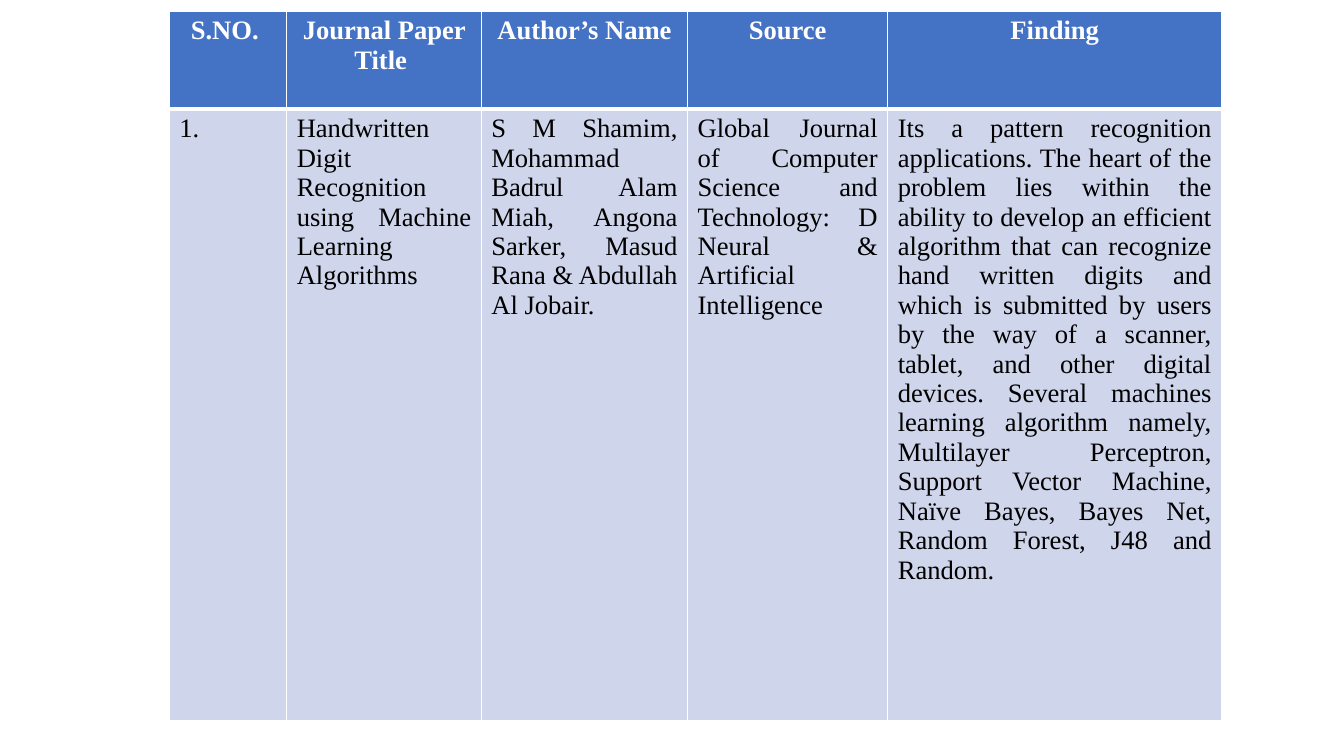
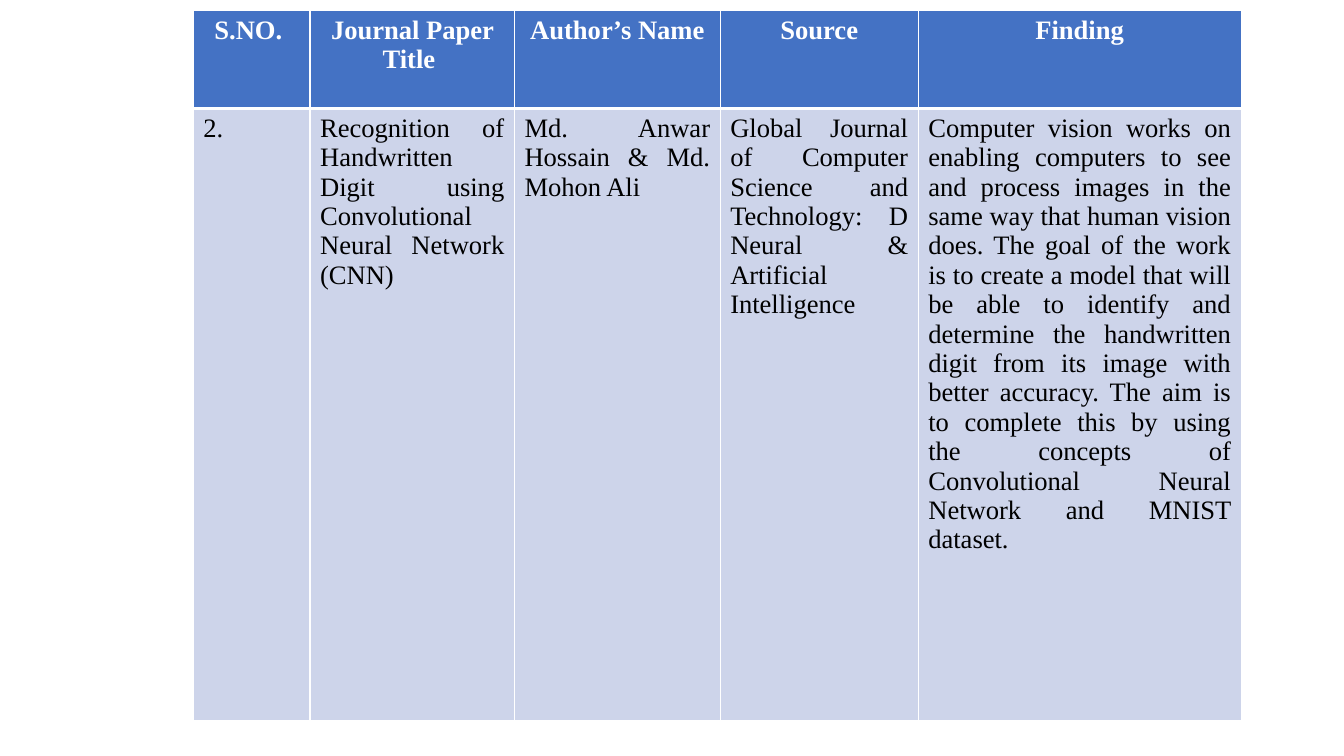
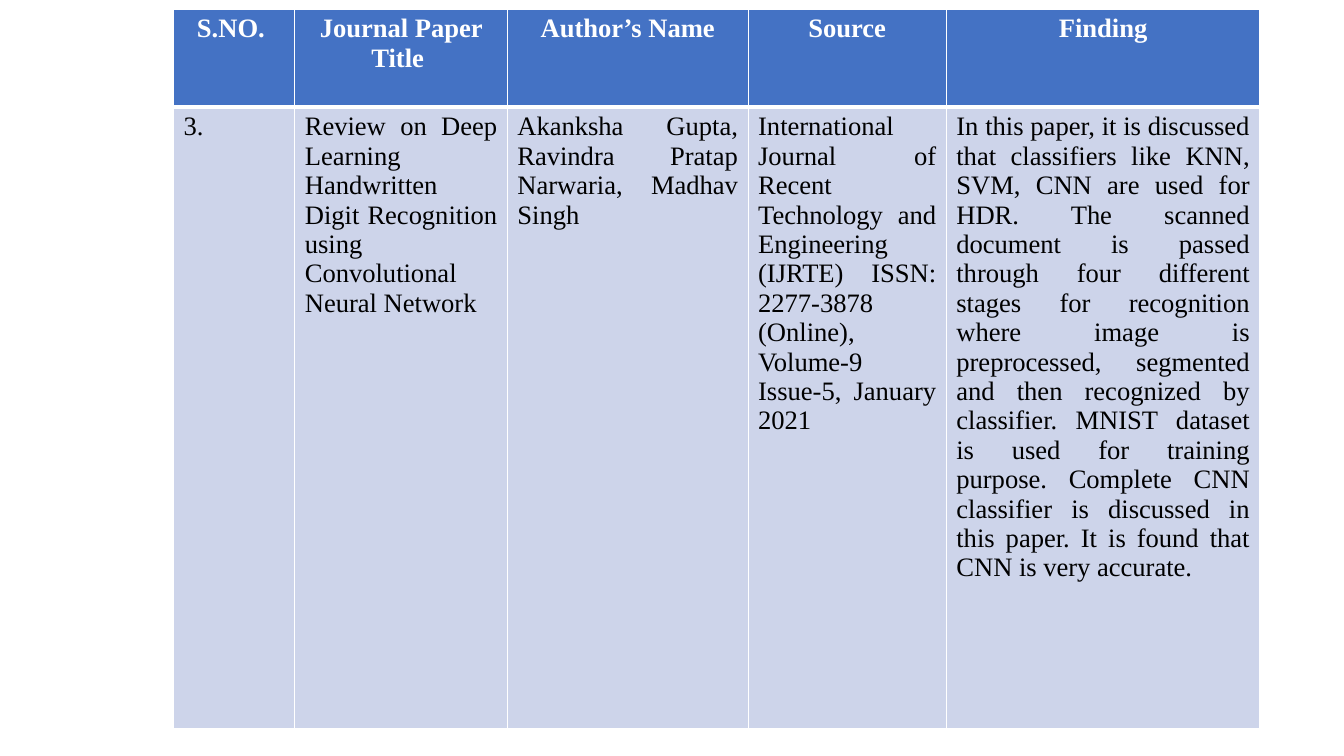
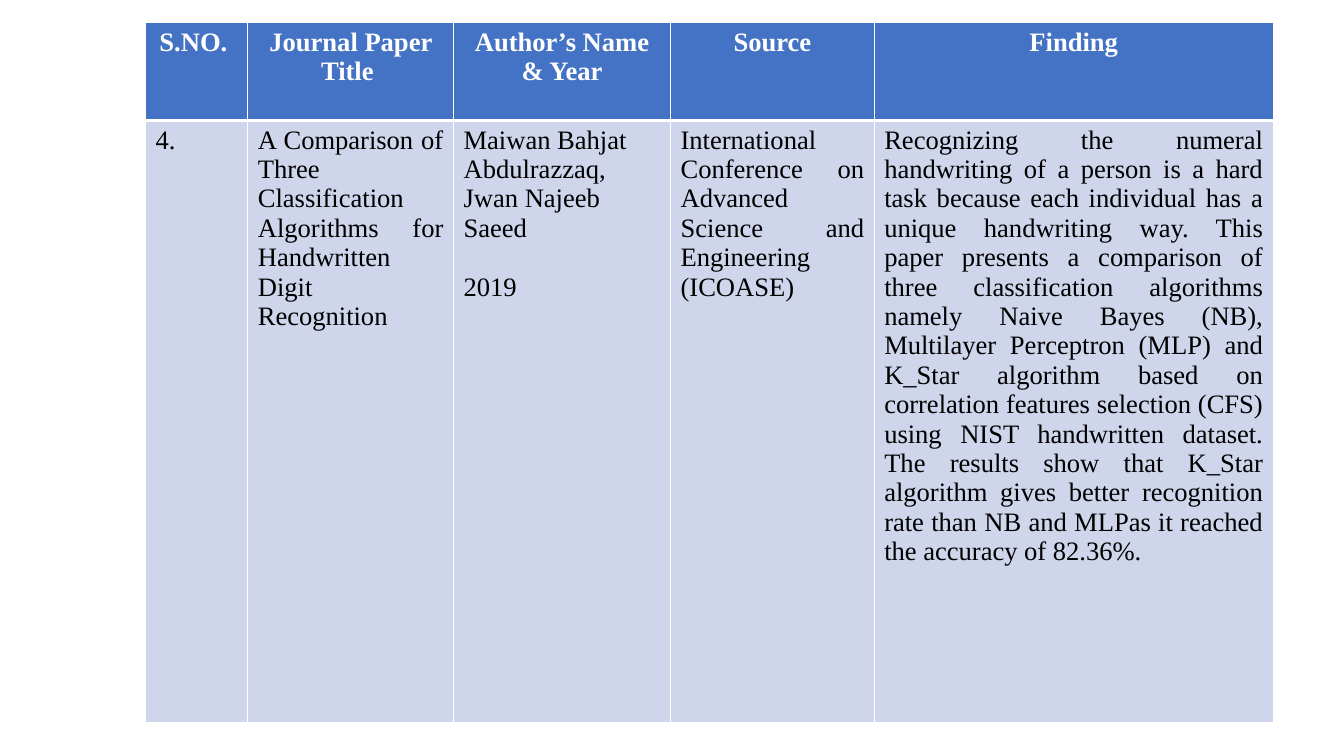
import pptx
import pptx.dml.color
import pptx.enum.text
import pptx.oxml
import pptx.oxml.ns
import pptx.util

Pt = pptx.util.Pt
ALIGN = pptx.enum.text.PP_ALIGN

# Shared style
COLORS = {
    "header": "4472C4",
    "body": "CFD5EA",
    "body_light": "CDD4EA",
    "border": "FFFFFF",
    "header_text": "FFFFFF",
    "body_text": "000000",
}
FONT = "Times New Roman"
FONT_SIZE = 19
LINE_HEIGHT = 21
HEADER_HEIGHT = 70
THIN, THICK = 1, 3
HEADINGS = ["S.NO. ", "Journal Paper Title ", "Author’s Name", "Source", "Finding"]
HEADINGS_WITH_YEAR = HEADINGS[:2] + ["Author’s Name & Year"] + HEADINGS[3:]

# One paper per slide
PAPERS = [
    {
        "left": 121, "top": 8, "body_height": 437, "fill": "body",
        "columns": [83.8, 139, 147.4, 143, 238.5],
        "headings": HEADINGS,
        "entries": [
            "1.",
            "Handwritten Digit Recognition using Machine Learning Algorithms",
            "S M Shamim, Mohammad Badrul Alam Miah, Angona Sarker, Masud Rana "
            "& Abdullah Al Jobair.",
            "Global Journal of Computer Science and Technology: D Neural & "
            "Artificial Intelligence",
            "Its a pattern recognition applications. The heart of the problem lies "
            "within the ability to develop an efficient algorithm that can recognize "
            "hand written digits and which is submitted by users by the way of a "
            "scanner, tablet, and other digital devices. Several machines learning "
            "algorithm namely, Multilayer Perceptron, Support Vector Machine, Naïve "
            "Bayes, Bayes Net, Random Forest, J48 and Random.",
        ],
    },
    {
        "left": 138, "top": 7.5, "body_height": 437, "fill": "body_light",
        "columns": [83.5, 146, 147, 141.5, 230.6],
        "headings": HEADINGS,
        "entries": [
            "2.",
            "Recognition of Handwritten Digit using Convolutional Neural Network (CNN)",
            "Md. Anwar Hossain & Md. Mohon Ali",
            "Global Journal of Computer Science and Technology: D Neural & "
            "Artificial Intelligence ",
            "Computer vision works on enabling computers to see and process images "
            "in the same way that human vision does. The goal of the work is to "
            "create a model that will be able to identify and determine the "
            "handwritten digit from its image with better accuracy. The aim is to "
            "complete this by using the concepts of Convolutional Neural Network and "
            "MNIST dataset. ",
        ],
    },
    {
        "left": 124, "top": 6.5, "body_height": 444, "fill": "body_light",
        "columns": [86.6, 151.8, 172, 141.6, 224],
        "headings": HEADINGS,
        "entries": [
            "3.",
            "Review on Deep Learning Handwritten Digit Recognition using "
            "Convolutional Neural Network",
            "Akanksha Gupta, Ravindra Pratap Narwaria, Madhav Singh",
            "International Journal of Recent Technology and Engineering (IJRTE) "
            "ISSN: 2277-3878 (Online), Volume-9 Issue-5, January 2021",
            "In this paper, it is discussed that classifiers like KNN, SVM, CNN are "
            "used for HDR. The scanned document is passed through four different "
            "stages for recognition where image is preprocessed, segmented and then "
            "recognized by classifier. MNIST dataset is used for training purpose. "
            "Complete CNN classifier is discussed in this paper. It is found that "
            "CNN is very accurate.",
        ],
    },
    {
        "left": 104, "top": 16, "body_height": 430.5, "fill": "body",
        "columns": [73, 147, 155, 145.5, 285],
        "headings": HEADINGS_WITH_YEAR,
        "entries": [
            "4.",
            "A Comparison of Three Classification Algorithms for Handwritten Digit "
            "Recognition",
            "Maiwan Bahjat Abdulrazzaq,\nJwan Najeeb Saeed\n2019",
            "International Conference on Advanced Science and Engineering (ICOASE)",
            "Recognizing the numeral handwriting of a person is a hard task because "
            "each individual has a unique handwriting way. This paper presents a "
            "comparison of three classification algorithms namely Naive Bayes (NB), "
            "Multilayer Perceptron (MLP) and K_Star algorithm based on correlation "
            "features selection (CFS) using NIST handwritten dataset. The results "
            "show that K_Star algorithm gives better recognition rate than NB and "
            "MLPas it reached the accuracy of 82.36%.",
        ],
    },
]


def rgb(name):
    return pptx.dml.color.RGBColor.from_string(COLORS[name])


def set_borders(cell, top, bottom):
    """Draw the four cell edges; the sides are always thin."""
    properties = cell._tc.get_or_add_tcPr()
    widths = {"lnL": THIN, "lnR": THIN, "lnT": top, "lnB": bottom}
    for position, (edge, width) in enumerate(widths.items()):
        line = pptx.oxml.parse_xml(
            f'<a:{edge} {pptx.oxml.ns.nsdecls("a")} w="{Pt(width)}">'
            f'<a:solidFill><a:srgbClr val="{COLORS["border"]}"/></a:solidFill>'
            f"</a:{edge}>"
        )
        properties.insert(position, line)


def fill_cell(cell, text, fill, color, alignment, bold=False):
    cell.fill.solid()
    cell.fill.fore_color.rgb = rgb(fill)
    cell.text_frame.text = text
    for para in cell.text_frame.paragraphs:
        para.alignment = alignment
        para.font.name = FONT
        para.font.size = Pt(FONT_SIZE)
        para.font.bold = bold
        para.font.color.rgb = rgb(color)


def add_paper_table(page, paper):
    columns = paper["columns"]
    frame = page.shapes.add_table(
        2, len(columns), Pt(paper["left"]), Pt(paper["top"]),
        Pt(sum(columns)), Pt(HEADER_HEIGHT + paper["body_height"]),
    )
    table = frame.table
    table.horz_banding = False
    table.rows[0].height = Pt(HEADER_HEIGHT)
    table.rows[1].height = Pt(paper["body_height"])
    contents = zip(columns, paper["headings"], paper["entries"])
    for index, (width, heading, entry) in enumerate(contents):
        table.columns[index].width = Pt(width)
        header, body = table.cell(0, index), table.cell(1, index)
        fill_cell(header, heading, "header", "header_text", ALIGN.CENTER, bold=True)
        set_borders(header, THIN, THICK)
        fill_cell(body, entry, paper["fill"], "body_text", ALIGN.JUSTIFY)
        set_borders(body, THICK, THIN)
    return table


def separate_year(cell):
    """Left-align the authors and set the year one line below them."""
    *authors, year = cell.text_frame.paragraphs
    for author in authors:
        author.alignment = ALIGN.LEFT
    year.space_before = Pt(LINE_HEIGHT)


def main():
    deck = pptx.Presentation()
    deck.slide_width, deck.slide_height = Pt(960), Pt(540)
    blank = deck.slide_layouts[6]
    for paper in PAPERS:
        table = add_paper_table(deck.slides.add_slide(blank), paper)
        if paper["headings"] is HEADINGS_WITH_YEAR:
            separate_year(table.cell(1, 2))
    deck.save("out.pptx")


main()
